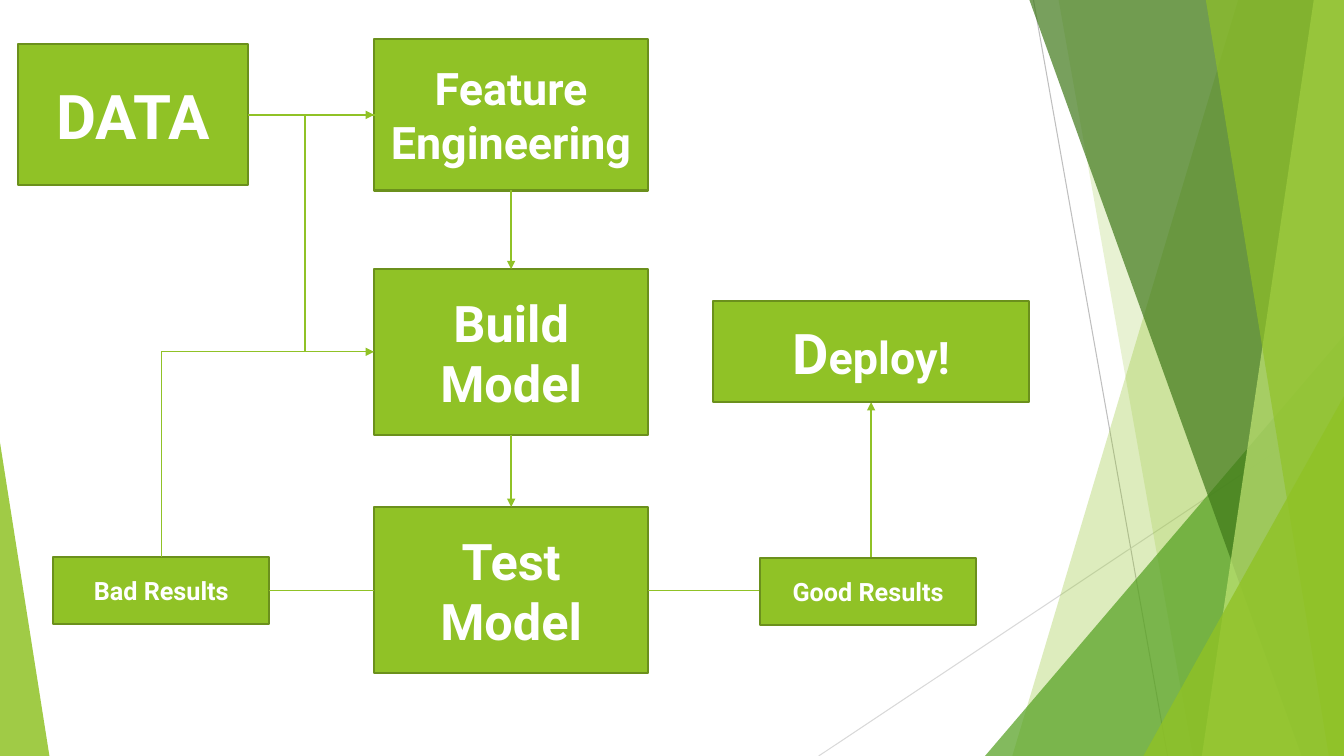
import pptx
import pptx.util
import pptx.dml.color
import pptx.enum.shapes
import pptx.enum.text
import pptx.oxml
import pptx.oxml.ns

Inches = pptx.util.Inches
Pt = pptx.util.Pt
MSO_SHAPE = pptx.enum.shapes.MSO_SHAPE
MSO_CONNECTOR = pptx.enum.shapes.MSO_CONNECTOR
qn = pptx.oxml.ns.qn

W, H = 13.33, 7.5
GREEN, DARK_GREEN, WHITE = "90C226", "6B901C", "FFFFFF"


def rgb(hex_color):
    return pptx.dml.color.RGBColor.from_string(hex_color)


def add_xml(parent, tag, **attrs):
    child = parent.makeelement(qn(tag), attrs)
    parent.append(child)
    return child


class FlowSlide:
    font = "Roboto"

    def __init__(self, prs):
        self.s = prs.slides.add_slide(prs.slide_layouts[6])
        self.shapes = self.s.shapes

    def tint(self, sp, color, opacity):
        sp.shadow.inherit = False
        sp.fill.solid()
        sp.fill.fore_color.rgb = rgb(color)
        sp.line.fill.background()
        clr = sp.fill._xPr.find(qn("a:solidFill"))[0]
        add_xml(clr, "a:alpha", val=str(opacity * 1000))

    def facet(self, points, color, opacity):
        pts = [(Inches(x), Inches(y)) for x, y in points]
        builder = self.shapes.build_freeform(*pts[0])
        builder.add_line_segments(pts[1:], close=True)
        self.tint(builder.convert_to_shape(), color, opacity)

    def triangle(self, x, y, w, apex, color, opacity):
        sp = self.shapes.add_shape(MSO_SHAPE.ISOSCELES_TRIANGLE, Inches(x), Inches(y),
                                   Inches(w), Inches(H - y))
        sp.adjustments[0] = apex
        self.tint(sp, color, opacity)

    def box(self, x, y, w, h, *paragraphs):
        """Each paragraph is a list of (text, size) runs."""
        sp = self.shapes.add_shape(MSO_SHAPE.RECTANGLE, Inches(x), Inches(y),
                                   Inches(w), Inches(h))
        sp.shadow.inherit = False
        sp.fill.solid()
        sp.fill.fore_color.rgb = rgb(GREEN)
        sp.line.color.rgb = rgb(DARK_GREEN)
        sp.line.width = Pt(1.5)
        tf = sp.text_frame
        tf.word_wrap = True
        tf.vertical_anchor = pptx.enum.text.MSO_ANCHOR.MIDDLE
        for i, runs in enumerate(paragraphs):
            p = tf.add_paragraph() if i else tf.paragraphs[0]
            p.alignment = pptx.enum.text.PP_ALIGN.CENTER
            for text, size in runs:
                r = p.add_run()
                r.text = text
                r.font.name = self.font
                r.font.size = Pt(size)
                r.font.bold = True
                r.font.color.rgb = rgb(WHITE)

    def line(self, start, end, color=GREEN, width=1, arrow=None, bend=None, adj=None):
        """arrow is headEnd or tailEnd; bend is a bent connector preset."""
        kind = MSO_CONNECTOR.ELBOW if bend else MSO_CONNECTOR.STRAIGHT
        cxn = self.shapes.add_connector(kind, *(Inches(v) for v in start + end))
        cxn.line.color.rgb = rgb(color)
        cxn.line.width = Pt(width)
        spPr = cxn._element.spPr
        geom = spPr.find(qn("a:prstGeom"))
        if bend:
            geom.set("prst", bend)
        if adj is not None:
            add_xml(geom.find(qn("a:avLst")), "a:gd", name="adj1",
                    fmla=f"val {round(adj * 100000)}")
        if arrow:
            add_xml(spPr.find(qn("a:ln")), "a:" + arrow, type="triangle")
        add_xml(spPr, "a:effectLst")


prs = pptx.Presentation()
prs.slide_width, prs.slide_height = Inches(W), Inches(H)
slide = FlowSlide(prs)

# Background lines and facets, each facet reaching the right edge
slide.line((10.25, 0), (11.58, H), "BFBFBF", 0.75)
slide.line((W, 4.03), (8.12, H), "D9D9D9", 0.75)


def right_facet(top, bottom, color, opacity):
    slide.facet([(top, 0), (W, 0), (W, H), (bottom, H)], color, opacity)


right_facet(12.28, 10.04, GREEN, 30)
right_facet(10.5, 11.83, GREEN, 20)
slide.triangle(9.77, 3.33, 3.56, 1, "54A021", 72)
right_facet(10.21, 12.91, "3F7819", 70)
right_facet(13.03, 11.92, "C0E474", 70)
right_facet(11.96, 13.18, GREEN, 65)
slide.triangle(11.34, 3.93, 1.99, 1, GREEN, 80)
slide.triangle(0, 4.39, 0.49, 0, GREEN, 85)

# Main steps
STEP_X, STEP_W = 3.71, 2.72
STEP_MID = STEP_X + STEP_W / 2
STEP_RIGHT = STEP_X + STEP_W
DATA_Y, BUILD_Y, RESULT_Y = 1.14, 3.49, 5.86
slide.box(0.18, 0.44, 2.28, 1.4, [("DATA", 44)])
slide.box(STEP_X, 0.39, STEP_W, 1.5, [("Feature Engineering", 32)])
slide.box(STEP_X, 2.67, STEP_W, 1.65, [("Build Model", 36)])
slide.box(STEP_X, 5.03, STEP_W, 1.65, [("Test", 36)], [("Model", 36)])

# Good results lead to deployment
slide.line((STEP_RIGHT, RESULT_Y), (8.64, 3.99), arrow="tailEnd", bend="bentConnector2")
slide.box(7.07, 2.99, 3.14, 1, [("D", 40), ("eploy!", 32)])

# Flow between the steps
slide.line((2.46, DATA_Y), (STEP_X, DATA_Y), arrow="tailEnd")
for top, bottom in ((1.89, 2.67), (4.32, 5.03)):
    slide.line((STEP_MID, top), (STEP_MID, bottom), arrow="tailEnd")

# Test outcomes
slide.box(7.54, 5.54, 2.14, 0.66, [("Good Results", 18)])
slide.box(0.53, 5.53, 2.14, 0.66, [("Bad Results", 18)])

# Bad results loop back to the model and the features
slide.line((STEP_X, RESULT_Y), (2.67, RESULT_Y))
slide.line((STEP_X, BUILD_Y), (1.6, 5.53), arrow="headEnd", bend="bentConnector2")
slide.line((1.6, BUILD_Y), (4.34, DATA_Y), bend="bentConnector3", adj=0.52)

prs.save("out.pptx")
